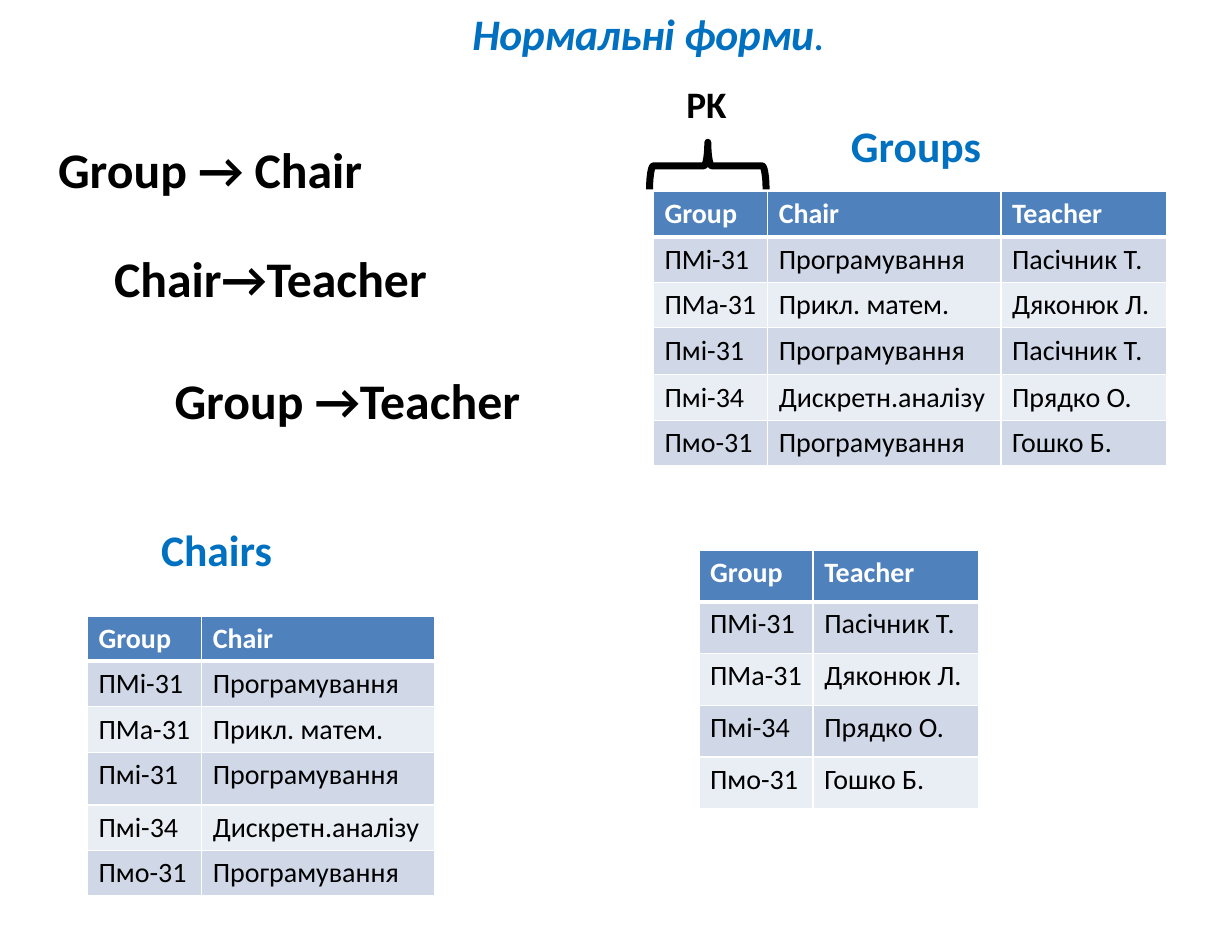
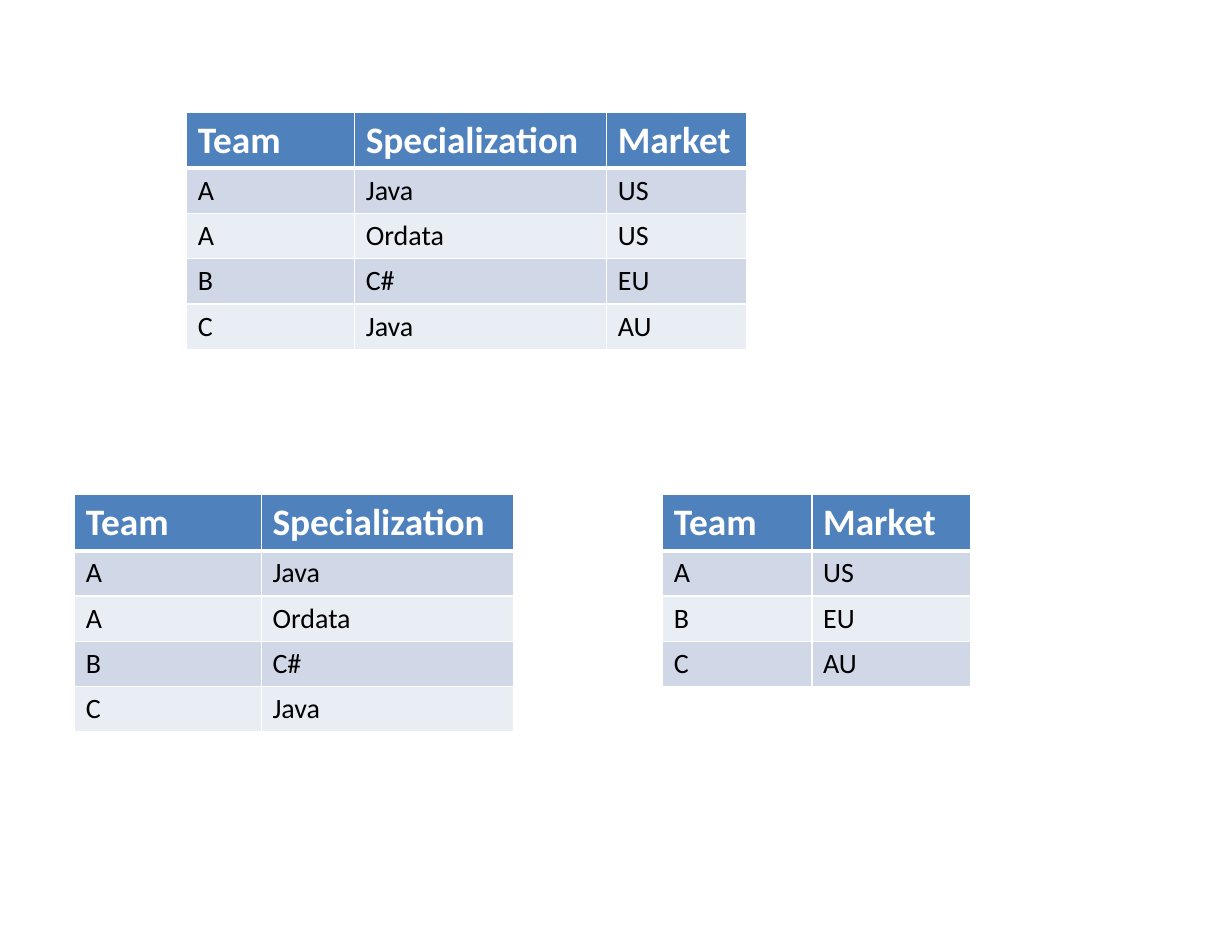
"""Builds two slides on normal forms: relations and their projections."""
from dataclasses import dataclass
from typing import Optional

from lxml import etree
from pptx import Presentation
from pptx.dml.color import RGBColor
from pptx.enum.shapes import MSO_SHAPE
from pptx.enum.text import MSO_ANCHOR, MSO_AUTO_SIZE, PP_ALIGN
from pptx.oxml.ns import qn
from pptx.util import Inches, Pt

RIGHT_BRACE = MSO_SHAPE.RIGHT_BRACE
TOP = MSO_ANCHOR.TOP
FIT_SHAPE = MSO_AUTO_SIZE.SHAPE_TO_FIT_TEXT
NO_FIT = MSO_AUTO_SIZE.NONE
CENTER = PP_ALIGN.CENTER

FONT = "Calibri"
BLACK, WHITE = "000000", "FFFFFF"
ACCENT, HEADER = "0070C0", "4F81BD"
BANDS = ("D0D8E8", "E9EDF4")

SLIDE_WIDTH, SLIDE_HEIGHT = Inches(11), Inches(8.5)
GRID_COLUMNS, GRID_ROWS = 132, 102
TITLE_ONLY, BLANK = 5, 6


@dataclass(frozen=True)
class Box:
    """A rectangle in grid columns and rows."""

    left: float
    top: float
    width: float
    height: float


@dataclass(frozen=True)
class Label:
    """A bold line of text."""

    text: str
    box: Box
    size: int
    color: str = BLACK


@dataclass(frozen=True)
class Relation:
    """Named attributes and the records that hold their values."""

    attributes: tuple[str, ...]
    records: tuple[tuple[str, ...], ...]

    def project(self, *names: str) -> "Relation":
        """Keep the named attributes and drop repeated records."""
        places = [self.attributes.index(name) for name in names]
        kept = (tuple(record[place] for place in places) for record in self.records)
        return Relation(names, tuple(dict.fromkeys(kept)))

    def without(self, index: int) -> "Relation":
        """Leave out one record."""
        return Relation(self.attributes, self.records[:index] + self.records[index + 1:])


@dataclass(frozen=True)
class Grid:
    """A relation drawn as a table, with its place and measures."""

    relation: Relation
    left: float
    top: float
    widths: tuple[float, ...]
    heights: tuple[float, ...]
    header_size: int = 18


GROUPS = Relation(
    ("Group", "Chair", "Teacher"),
    (
        ("ПМі-31", "Програмування", "Пасічник Т."),
        ("ПМа-31", "Прикл. матем.", "Дяконюк Л."),
        ("Пмі-31", "Програмування", "Пасічник Т."),
        ("Пмі-34", "Дискретн.аналізу", "Прядко О."),
        ("Пмо-31", "Програмування", "Гошко Б."),
    ),
)
TEAMS = Relation(
    ("Team", "Specialization", "Market"),
    (("A", "Java", "US"), ("A", "Ordata", "US"), ("B", "C#", "EU"), ("C", "Java", "AU")),
)

GROUP_WIDTH, CHAIR_WIDTH, TEACHER_WIDTH = 12.24, 25, 17.76
ROW, TEAM_HEADER, TEAM_ROW = 4.8, 5.9, 4.86

NORMAL_FORM_GRIDS = (
    Grid(GROUPS, 70, 20.52, (GROUP_WIDTH, CHAIR_WIDTH, TEACHER_WIDTH),
         (ROW,) * 3 + (5.04,) + (ROW,) * 2),
    Grid(GROUPS.project("Group", "Chair"), 9.36, 66, (GROUP_WIDTH, CHAIR_WIDTH),
         (ROW,) * 3 + (5.64,) + (ROW,) * 2),
    Grid(GROUPS.without(2).project("Group", "Teacher"), 74.88, 58.92,
         (GROUP_WIDTH, TEACHER_WIDTH), (5.55,) * 5),
)
TEAM_GRIDS = (
    Grid(TEAMS, 20, 12, (18, 27, 15), (TEAM_HEADER,) + (TEAM_ROW,) * 4, 24),
    Grid(TEAMS.project("Team", "Specialization"), 8, 53, (20, 27),
         (TEAM_HEADER,) + (TEAM_ROW,) * 4, 24),
    Grid(TEAMS.project("Team", "Market"), 71, 53, (16, 17),
         (TEAM_HEADER,) + (TEAM_ROW,) * 3, 24),
)
LABELS = (
    Label("Groups", Box(90, 12.12, 16.44, 6.84), 28, ACCENT),
    Label("PK", Box(72.36, 8.16, 6.72, 6), 24),
    Label("Group → Chair", Box(5.04, 14.28, 35.28, 7.68), 32),
    Label("Chair→Teacher", Box(11.04, 25.92, 36.24, 7.68), 32),
    Label("Group →Teacher", Box(17.52, 39, 39.84, 7.68), 32),
    Label("Chairs", Box(16.08, 55.44, 14.4, 6.84), 28, ACCENT),
)
TITLE_BOX = Box(9, 0.72, 121, 5.64)
KEY_BRACE = Box(73.32, 11.52, 5.04, 12.48)


def across(columns: float) -> int:
    """Turn grid columns into a length."""
    return round(SLIDE_WIDTH * columns / GRID_COLUMNS)


def down(rows: float) -> int:
    """Turn grid rows into a length."""
    return round(SLIDE_HEIGHT * rows / GRID_ROWS)


def place(box: Box) -> tuple[int, int, int, int]:
    """Turn a box into left, top, width and height."""
    return across(box.left), down(box.top), across(box.width), down(box.height)


def rgb(color: str) -> RGBColor:
    """Turn a hex string into a colour."""
    return RGBColor.from_string(color)


def add_run(paragraph, text: str, size: int, color: str, bold: bool = True,
            italic: Optional[bool] = None) -> None:
    """Add one formatted run."""
    run = paragraph.add_run()
    run.text = text
    font = run.font
    font.name, font.size, font.bold, font.italic = FONT, Pt(size), bold, italic
    font.color.rgb = rgb(color)


def set_title(slide) -> None:
    """Place and fill the slide's title."""
    title = slide.shapes.title
    title.left, title.top, title.width, title.height = place(TITLE_BOX)
    frame = title.text_frame
    frame.margin_left = frame.margin_right = frame.margin_top = frame.margin_bottom = 0
    frame.vertical_anchor, frame.auto_size = TOP, NO_FIT
    paragraph = frame.paragraphs[0]
    paragraph.alignment = CENTER
    add_run(paragraph, "Нормальні форми", 28, ACCENT, italic=True)
    add_run(paragraph, ".", 28, ACCENT, bold=False, italic=True)
    next(title.element.iter(qn("a:rPr"))).set("spc", "-25")


def add_label(slide, label: Label) -> None:
    """Draw one unwrapped line of text."""
    frame = slide.shapes.add_textbox(*place(label.box)).text_frame
    frame.word_wrap, frame.auto_size = False, FIT_SHAPE
    add_run(frame.paragraphs[0], label.text, label.size, label.color)


def add_brace(slide, box: Box) -> None:
    """Draw a brace that opens downwards."""
    brace = slide.shapes.add_shape(RIGHT_BRACE, *place(box))
    brace.rotation = 270
    brace.shadow.inherit = False
    brace.fill.background()
    brace.line.color.rgb = rgb(BLACK)
    brace.line.width = Pt(4.5)


def set_borders(properties, row: int) -> None:
    """Give a cell white borders, thick below the header."""
    weights = {"L": 1, "R": 1, "T": 3 if row == 1 else 1, "B": 3 if row == 0 else 1}
    for position, (side, weight) in enumerate(weights.items()):
        line = etree.Element(qn(f"a:ln{side}"), w=str(Pt(weight)))
        fill = etree.SubElement(line, qn("a:solidFill"))
        etree.SubElement(fill, qn("a:srgbClr"), val=WHITE)
        properties.insert(position, line)


def add_grid(slide, grid: Grid) -> None:
    """Draw a relation as a banded table."""
    lines = (grid.relation.attributes, *grid.relation.records)
    box = Box(grid.left, grid.top, sum(grid.widths), sum(grid.heights))
    graphic = slide.shapes.add_table(len(lines), len(grid.widths), *place(box))
    table = graphic.table
    for column, width in zip(table.columns, grid.widths):
        column.width = across(width)
    for row, height in zip(table.rows, grid.heights):
        row.height = down(height)
    for row, values in enumerate(lines):
        is_header = row == 0
        for column, text in enumerate(values):
            cell = table.cell(row, column)
            cell.fill.solid()
            cell.fill.fore_color.rgb = rgb(HEADER if is_header else BANDS[(row - 1) % 2])
            add_run(cell.text_frame.paragraphs[0], text,
                    grid.header_size if is_header else 18,
                    WHITE if is_header else BLACK, bold=is_header)
    for index, properties in enumerate(graphic.element.iter(qn("a:tcPr"))):
        set_borders(properties, index // len(grid.widths))


def add_slide(presentation, layout: int, grids: tuple[Grid, ...]):
    """Add a slide with its tables."""
    slide = presentation.slides.add_slide(presentation.slide_layouts[layout])
    for grid in grids:
        add_grid(slide, grid)
    return slide


def main() -> None:
    """Build and save the presentation."""
    presentation = Presentation()
    presentation.slide_width, presentation.slide_height = SLIDE_WIDTH, SLIDE_HEIGHT
    normal_forms = add_slide(presentation, TITLE_ONLY, NORMAL_FORM_GRIDS)
    set_title(normal_forms)
    add_brace(normal_forms, KEY_BRACE)
    for label in LABELS:
        add_label(normal_forms, label)
    add_slide(presentation, BLANK, TEAM_GRIDS)
    presentation.save("out.pptx")


main()
